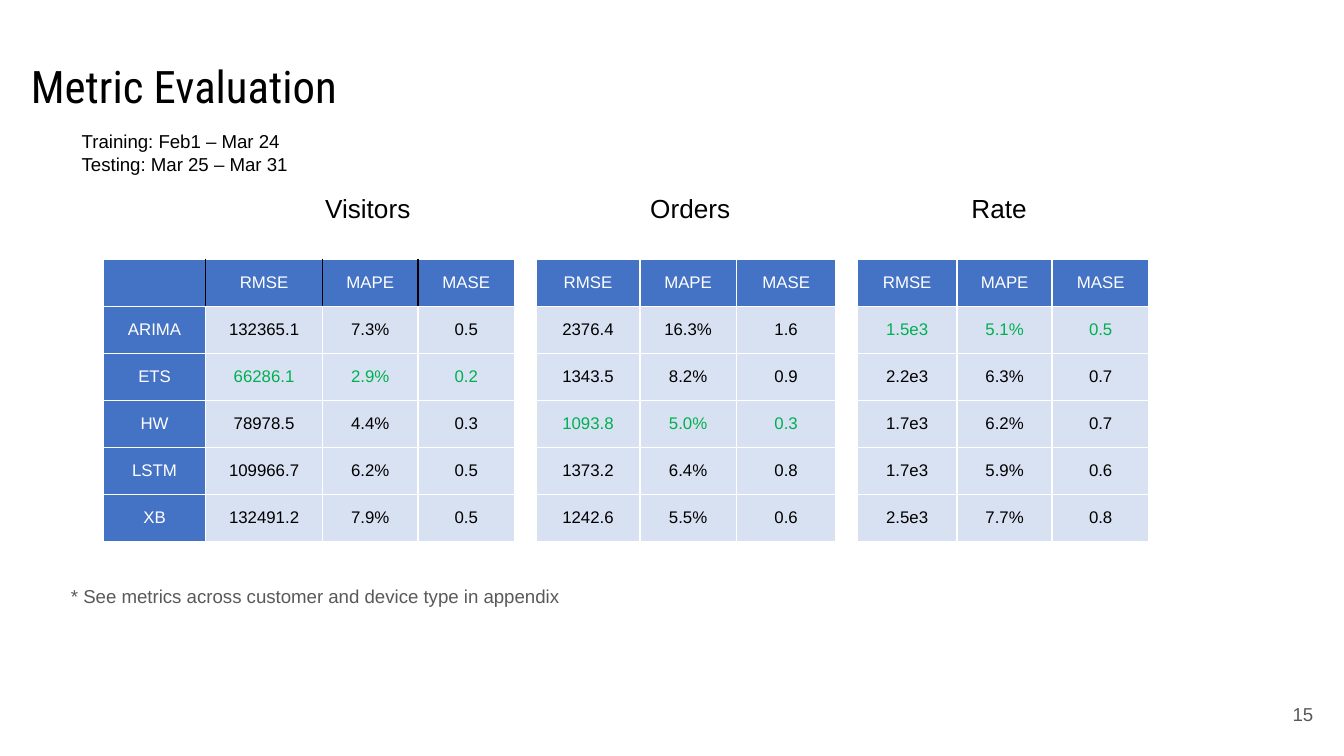
from dataclasses import dataclass

from lxml.etree import SubElement
from pptx import Presentation
from pptx.dml.color import RGBColor
from pptx.enum.text import MSO_ANCHOR as Anchor, MSO_AUTO_SIZE as Fit, PP_ALIGN as Align
from pptx.oxml.ns import qn
from pptx.util import Inches, Pt

HUES = {
    "black": "000000", "white": "FFFFFF", "gray": "595959",
    "blue": "4472C4", "odd": "D8E1F2", "even": "D9E2F3", "best": "00B050",
}
TOP, ROW = 1.93, 0.35


@dataclass
class Grid:
    """A metric table: its best row is set in green."""
    left: float
    cols: list[float]
    rows: list[str]
    best: int
    names: bool = False


@dataclass
class Note:
    """A text box."""
    box: tuple[float, float, float, float]
    lines: list[str]
    size: int = 10
    hue: str = "black"
    align: Align = Align.LEFT
    anchor: Anchor = Anchor.TOP
    inset: float = 0.05
    wrap: bool = True
    indent: float = 0


GRIDS = [
    Grid(0.77, [0.76, 0.87, 0.71, 0.72], [
        "|RMSE|MAPE|MASE", "ARIMA|132365.1|7.3%|0.5", "ETS|66286.1|2.9%|0.2",
        "HW|78978.5|4.4%|0.3", "LSTM|109966.7|6.2%|0.5", "XB|132491.2|7.9%|0.5",
    ], 2, True),
    Grid(3.99, [0.77, 0.72, 0.74], [
        "RMSE|MAPE|MASE", "2376.4|16.3%|1.6", "1343.5|8.2%|0.9",
        "1093.8|5.0%|0.3", "1373.2|6.4%|0.8", "1242.6|5.5%|0.6",
    ], 3),
    Grid(6.38, [0.74, 0.71, 0.72], [
        "RMSE|MAPE|MASE", "1.5e3|5.1%|0.5", "2.2e3|6.3%|0.7",
        "1.7e3|6.2%|0.7", "1.7e3|5.9%|0.6", "2.5e3|7.7%|0.8",
    ], 1),
]
HEADS = [("Visitors", 1.94, 1.52), ("Orders", 4.36, 1.86), ("Rate", 6.75, 1.55)]
NOTES = [
    Note((9.27, 5.1, 0.6, 0.43), ["15"], hue="gray", align=Align.RIGHT,
         anchor=Anchor.MIDDLE, inset=0.1),
    *(Note((left, 1.3, width, 0.63), [text], size=14, inset=0.1, indent=0.38)
      for text, left, width in HEADS),
    Note((0.43, 4.3, 3.86, 0.27),
         ["* See metrics across customer and device type in appendix"],
         hue="gray", wrap=False),
    Note((0.51, 0.92, 1.76, 0.44),
         ["Training: Feb1 – Mar 24", "Testing: Mar 25 – Mar 31"], wrap=False),
]


def style(para, size: int, hue: str, align: Align, face: str = "Arial") -> None:
    """Set the font and alignment of a paragraph."""
    para.font.size = Pt(size)
    para.font.name = face
    para.font.color.rgb = RGBColor.from_string(HUES[hue])
    para.alignment = align


def edge(cell, side: str, hue: str) -> None:
    """Draw one border of a cell."""
    line = SubElement(cell._tc.get_or_add_tcPr(), qn(f"a:ln{side}"), w=str(Pt(1)))
    fill = SubElement(line, qn("a:solidFill"))
    SubElement(fill, qn("a:srgbClr"), val=HUES[hue])


def add_grid(slide, grid: Grid) -> None:
    """Add a metric table."""
    count, last = len(grid.rows), len(grid.cols) - 1
    table = slide.shapes.add_table(
        count, last + 1, Inches(grid.left), Inches(TOP),
        Inches(sum(grid.cols)), Inches(ROW * count)).table
    table.first_row = table.horz_banding = False
    for col, width in zip(table.columns, grid.cols):
        col.width = Inches(width)
    for r, row in enumerate(grid.rows):
        table.rows[r].height = Inches(ROW)
        for c, text in enumerate(row.split("|")):
            cell = table.cell(r, c)
            head = r == 0 or (grid.names and c == 0)
            dark = grid.names and r == 0
            edge(cell, "L", "black" if dark and c > 0 else "white")
            edge(cell, "R", "black" if dark and c < last else "white")
            edge(cell, "T", "white")
            edge(cell, "B", "white")
            cell.fill.solid()
            shade = "blue" if head else "odd" if r % 2 else "even"
            cell.fill.fore_color.rgb = RGBColor.from_string(HUES[shade])
            cell.margin_left = cell.margin_right = Inches(0.07)
            cell.margin_top = cell.margin_bottom = Inches(0.02)
            cell.vertical_anchor = Anchor.MIDDLE
            cell.text = text
            hue = "white" if head else "best" if r == grid.best else "black"
            style(cell.text_frame.paragraphs[0], 9, hue, Align.CENTER)


def add_note(slide, note: Note) -> None:
    """Add a text box."""
    frame = slide.shapes.add_textbox(*map(Inches, note.box)).text_frame
    frame.word_wrap = note.wrap
    frame.vertical_anchor = note.anchor
    frame.margin_left = frame.margin_right = Inches(0.1)
    frame.margin_top = frame.margin_bottom = Inches(note.inset)
    frame.text = "\n".join(note.lines)
    for para in frame.paragraphs:
        style(para, note.size, note.hue, note.align)
        if note.indent:
            para.line_spacing = 1.15
            para.space_before = Pt(10)
            para._p.get_or_add_pPr().set("marL", str(Inches(note.indent)))


def add_title(slide, text: str) -> None:
    """Place and format the title."""
    title = slide.shapes.title
    title.left, title.top, title.width, title.height = map(
        Inches, (0.13, 0.34, 9.32, 0.63))
    frame = title.text_frame
    frame.text = text
    frame.auto_size = Fit.NONE
    frame.vertical_anchor = Anchor.TOP
    frame.margin_left = frame.margin_right = Inches(0.1)
    frame.margin_top = frame.margin_bottom = Inches(0.1)
    style(frame.paragraphs[0], 24, "black", Align.LEFT, "Roboto Condensed")


def main() -> None:
    """Build the slide and save it."""
    deck = Presentation()
    deck.slide_width = Inches(10)
    deck.slide_height = deck.slide_width * 9 // 16
    slide = deck.slides.add_slide(deck.slide_layouts[5])
    add_title(slide, "Metric Evaluation")
    for grid in GRIDS:
        add_grid(slide, grid)
    for note in NOTES:
        add_note(slide, note)
    deck.save("out.pptx")


main()
